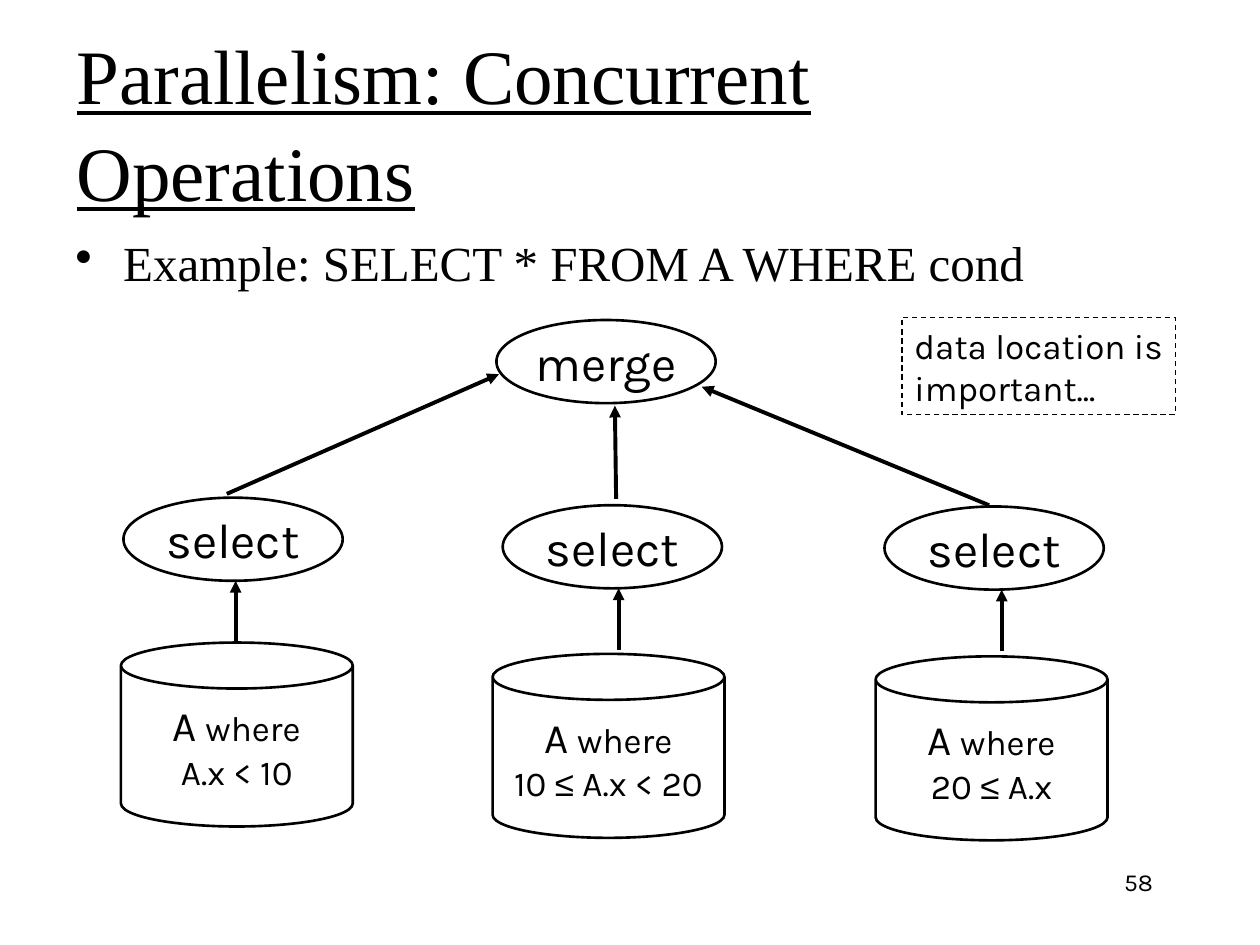
from pptx import Presentation
from pptx.dml.color import RGBColor
from pptx.enum.dml import MSO_LINE
from pptx.enum.shapes import MSO_CONNECTOR, MSO_SHAPE
from pptx.enum.text import MSO_ANCHOR as ANCHOR, MSO_AUTO_SIZE as AUTO_SIZE, PP_ALIGN as ALIGN
from pptx.oxml.ns import qn
from pptx.util import Inches, Pt
from lxml.etree import SubElement

INK, PAPER = "000000", "FFFFFF"
SANS, SERIF, SYMBOL = "Karla", "Times New Roman", "Arial"


def color(value):
    return RGBColor.from_string(value)


def apply(target, values):
    for name, value in values.items():
        setattr(target, name, value)


class QueryPlanSlide:
    """Draws text, nodes and arrows on one slide in a shared style."""

    def __init__(self, slide):
        self.slide = slide
        self.node_format = {"word_wrap": False, "vertical_anchor": ANCHOR.MIDDLE}

    def fill_text(self, frame, lines, size, font=SANS, align=ALIGN.LEFT, **extra):
        for index, line in enumerate(lines):
            paragraph = frame.paragraphs[0] if index == 0 else frame.add_paragraph()
            paragraph.alignment = align
            for text, changes in line if isinstance(line, list) else [(line, {})]:
                run = paragraph.add_run()
                run.text = text
                run.font.color.rgb = color(INK)
                apply(run.font, {"name": font, "size": Pt(size), **extra, **changes})

    def text(self, box, lines, size, anchor=ANCHOR.TOP, **style):
        shape = self.slide.shapes.add_textbox(*map(Inches, box))
        apply(shape.text_frame, {"word_wrap": True, "vertical_anchor": anchor})
        self.fill_text(shape.text_frame, lines, size, **style)
        return shape.text_frame.paragraphs[0]

    def bullet(self, box, text, size, indent, **style):
        paragraph = self.text(box, [text], size, **style)
        properties = paragraph._p.get_or_add_pPr()
        properties.set("marL", str(Inches(indent)))
        properties.set("indent", str(-Inches(indent)))
        SubElement(properties, qn("a:buChar"), char="•")

    def node(self, kind, box, lines, size, align=ALIGN.CENTER):
        shape = self.slide.shapes.add_shape(kind, *map(Inches, box))
        shape.shadow.inherit = False
        shape.fill.solid()
        shape.fill.fore_color.rgb = color(PAPER)
        shape.line.color.rgb = color(INK)
        shape.line.width = Pt(1.5)
        apply(shape.text_frame, self.node_format)
        self.fill_text(shape.text_frame, lines, size, align=align)
        return shape

    def ellipse(self, left, top, label):
        self.node(MSO_SHAPE.OVAL, (left, top, 1.74, 0.66), [label], 28)

    def can(self, left, top, condition):
        heading = [("A", {"size": Pt(24)}), (" where", {})]
        self.node(MSO_SHAPE.CAN, (left, top, 1.84, 1.46), [heading, condition], 20)

    def note(self, box, lines):
        shape = self.node(MSO_SHAPE.RECTANGLE, box, lines, 20, ALIGN.LEFT)
        shape.fill.background()
        apply(shape.line, {"width": Pt(0.75), "dash_style": MSO_LINE.DASH})
        shape.text_frame.auto_size = AUTO_SIZE.SHAPE_TO_FIT_TEXT

    def arrow(self, start, end):
        connector = self.slide.shapes.add_connector(
            MSO_CONNECTOR.STRAIGHT, *map(Inches, (*start, *end)))
        connector.line.color.rgb = color(INK)
        connector.line.width = Pt(2.25)
        properties = connector._element.spPr
        SubElement(properties.find(qn("a:ln")), qn("a:tailEnd"), type="triangle")
        SubElement(properties, qn("a:effectLst"))


def main():
    presentation = Presentation()
    apply(presentation, {"slide_width": Inches(10), "slide_height": Inches(7.5)})
    plan = QueryPlanSlide(presentation.slides.add_slide(presentation.slide_layouts[6]))

    title = plan.text((0.51, 0.43, 8.83, 1.05), ["Parallelism: Concurrent Operations"], 44,
                      anchor=ANCHOR.MIDDLE, font=SERIF, underline=True)
    title.line_spacing = 1.04
    plan.bullet((0.5, 1.8, 9, 0.6), "Example: SELECT * FROM A WHERE cond", 28, 0.38, font=SERIF)
    plan.text((7.17, 6.83, 2.08, 0.5), ["58"], 14, align=ALIGN.RIGHT)

    at_most = ("≤", {"name": SYMBOL})
    branches = [
        ((0.98, 3.95), (0.96, 5.1), 1.87, "A.x < 10", (1.8, 3.92), (3.96, 2.97)),
        ((3.99, 4.01), (3.91, 5.19), 4.91, [("10 ", {}), at_most, (" A.x < 20", {})],
         (4.89, 3.96), (4.88, 3.22)),
        ((7.02, 4.02), (6.95, 5.21), 7.95, [("20 ", {}), at_most, (" A.x", {})],
         (7.85, 4.01), (5.57, 3.07)),
    ]
    plan.ellipse(3.94, 2.54, "merge")
    for select, store, arrow_x, condition, start, end in branches:
        plan.can(*store, condition)
        plan.ellipse(*select, "select")
        tip = select[1] + 0.66
        plan.arrow((arrow_x, tip + 0.49), (arrow_x, tip))
        plan.arrow(start, end)
    plan.note((7.16, 2.52, 2.17, 0.77), ["data location is", "important..."])

    presentation.save("out.pptx")


if __name__ == "__main__":
    main()
